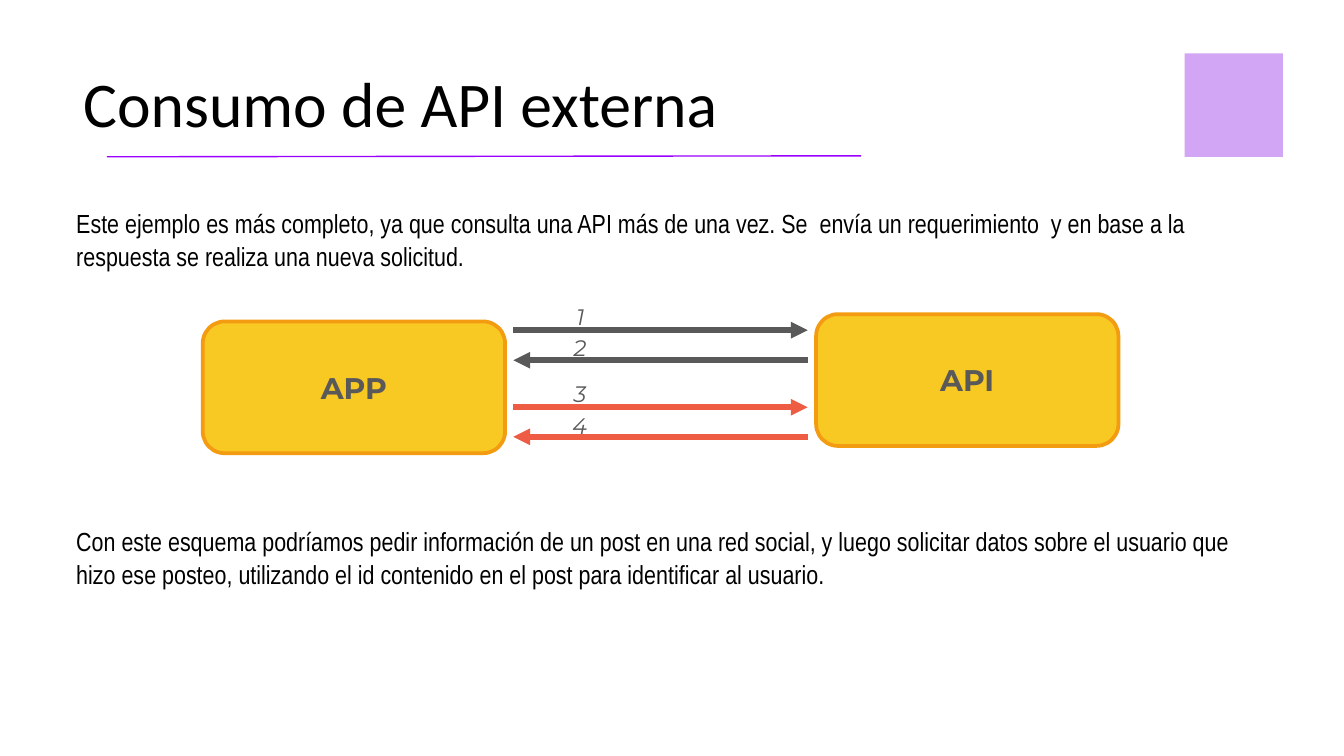
from dataclasses import dataclass

import lxml.etree
import pptx
import pptx.dml.color
import pptx.enum.shapes
import pptx.enum.text
import pptx.oxml.ns
import pptx.util

Pt = pptx.util.Pt
Shapes = pptx.enum.shapes.MSO_SHAPE
Align = pptx.enum.text.PP_ALIGN
Anchor = pptx.enum.text.MSO_ANCHOR


@dataclass(frozen=True)
class Theme:
    black: str = "000000"
    gray: str = "595959"
    red: str = "EE5D43"
    violet: str = "9900FF"
    lilac: str = "D2A6F4"
    yellow: str = "F8C823"
    orange: str = "F39C12"
    title_font: str = "Calibri"
    body_font: str = "Arial Narrow"
    diagram_font: str = "Montserrat"
    title_size: float = 34.1
    body_size: float = 14
    node_size: float = 16
    step_size: float = 12


THEME = Theme()


def rgb(color):
    return pptx.dml.color.RGBColor.from_string(color)


def place(shape, left, top, width, height):
    shape.left, shape.top = Pt(left), Pt(top)
    shape.width, shape.height = Pt(width), Pt(height)


def write(shape, text, font, size, color, *, bold=False, italic=False, align=Align.LEFT,
          anchor=Anchor.TOP, spacing=1.0, vertical_inset=3.6):
    frame = shape.text_frame
    frame.text = text
    frame.word_wrap = True
    frame.auto_size = pptx.enum.text.MSO_AUTO_SIZE.NONE
    frame.vertical_anchor = anchor
    frame.margin_left = frame.margin_right = Pt(7.2)
    frame.margin_top = frame.margin_bottom = Pt(vertical_inset)
    paragraph = frame.paragraphs[0]
    paragraph.alignment = align
    paragraph.line_spacing = spacing
    run_font = paragraph.runs[0].font
    run_font.name, run_font.size = font, Pt(size)
    run_font.bold, run_font.italic = bold, italic
    run_font.color.rgb = rgb(color)


def add_title(slide, text):
    title = slide.shapes.title
    place(title, 37.4, 32.4, 633.6, 49.7)
    write(title, text, THEME.title_font, THEME.title_size, THEME.black,
          anchor=Anchor.BOTTOM, spacing=0.8, vertical_inset=7.2)


def add_body(slide, text, top, height):
    box = slide.shapes.add_textbox(Pt(33.8), Pt(top), Pt(652.3), Pt(height))
    write(box, text, THEME.body_font, THEME.body_size, THEME.black,
          spacing=1.05, vertical_inset=7.2)


def add_filled_shape(slide, kind, left, top, width, height, fill):
    shape = slide.shapes.add_shape(kind, Pt(left), Pt(top), Pt(width), Pt(height))
    shape.shadow.inherit = False
    shape.fill.solid()
    shape.fill.fore_color.rgb = rgb(fill)
    shape.line.fill.background()
    return shape


def add_node(slide, text, left, top):
    node = add_filled_shape(slide, Shapes.ROUNDED_RECTANGLE, left, top, 162, 70.6, THEME.yellow)
    node.line.color.rgb = rgb(THEME.orange)
    node.line.width = Pt(2)
    write(node, text, THEME.diagram_font, THEME.node_size, THEME.gray,
          bold=True, align=Align.CENTER, anchor=Anchor.MIDDLE)


def add_line(slide, start, end, color, width, arrow=False):
    line = slide.shapes.add_connector(
        pptx.enum.shapes.MSO_CONNECTOR.STRAIGHT, *map(Pt, (*start, *end)))
    line.line.color.rgb = rgb(color)
    line.line.width = Pt(width)
    qualified = pptx.oxml.ns.qn
    properties = line._element.spPr
    if arrow:
        outline = properties.find(qualified("a:ln"))
        lxml.etree.SubElement(outline, qualified("a:tailEnd"), type="triangle")
    lxml.etree.SubElement(properties, qualified("a:effectLst"))


def add_step(slide, number, arrow_y, label_top, label_width, color):
    ends = [(275, arrow_y), (432.7, arrow_y)]
    if number % 2 == 0:
        ends.reverse()
    add_line(slide, *ends, color, 3, arrow=True)
    label = slide.shapes.add_textbox(
        Pt(311.4 - label_width / 2), Pt(label_top), Pt(label_width), Pt(21.6))
    write(label, str(number), THEME.diagram_font, THEME.step_size, THEME.gray, italic=True)


def main():
    presentation = pptx.Presentation()
    presentation.slide_width, presentation.slide_height = Pt(720), Pt(405)
    slide = presentation.slides.add_slide(presentation.slide_layouts[5])

    add_line(slide, (57.3, 84), (461.3, 83.5), THEME.violet, 0.75)
    add_filled_shape(slide, Shapes.RECTANGLE, 634.7, 28.6, 52.6, 55.5, THEME.lilac)
    add_title(slide, "Consumo de API externa")
    add_body(slide, "Este ejemplo es más completo, ya que consulta una API más de una vez. "
             "Se  envía un requerimiento  y en base a la respuesta se realiza "
             "una nueva solicitud.", 103, 44.6)

    add_node(slide, "APP", 108.6, 172.2)
    add_node(slide, "API", 437.2, 168.3)
    steps = [
        (176.9, 159.1, 19.4, THEME.gray),
        (193, 175.7, 22.3, THEME.gray),
        (218.2, 200.2, 22.3, THEME.red),
        (234, 217.4, 23.8, THEME.red),
    ]
    for number, step in enumerate(steps, start=1):
        add_step(slide, number, *step)

    add_body(slide, "Con este esquema podríamos pedir información de un post en una red "
             "social, y luego solicitar datos sobre el usuario que hizo ese posteo, "
             "utilizando el id contenido en el post para identificar al usuario.", 273.6, 90.7)
    presentation.save("out.pptx")


if __name__ == "__main__":
    main()
